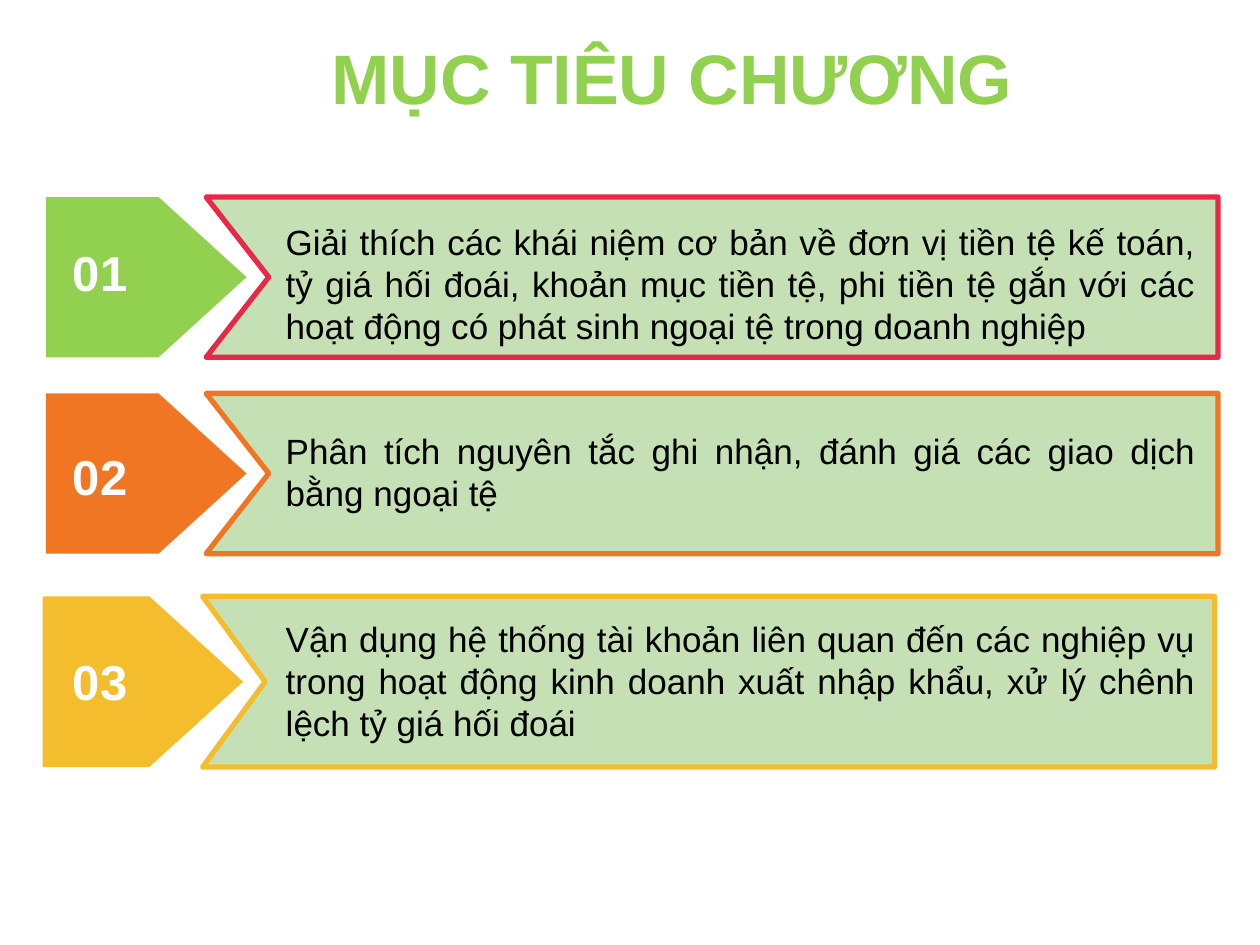
from dataclasses import dataclass

from pptx import Presentation
from pptx.dml.color import RGBColor
from pptx.enum.shapes import MSO_SHAPE
from pptx.enum.text import MSO_ANCHOR, PP_ALIGN
from pptx.util import Pt

FONT = "Arial"
GREEN, PANEL = "92D050", "C5E0B4"
ARROW_W, PANEL_DX, PANEL_W, NOTCH = 114.5, 91.4, 578.2, 35.8


@dataclass
class Goal:
    number: str
    text: str
    fill: str
    line: str
    left: float
    top: float
    height: float
    number_top: float
    number_height: float
    text_top: float
    text_height: float


GOALS = [
    Goal("01", "Giải thích các khái niệm cơ bản về đơn vị tiền tệ kế toán, tỷ giá hối đoái, "
         "khoản mục tiền tệ, phi tiền tệ gắn với các hoạt động có phát sinh ngoại tệ "
         "trong doanh nghiệp",
         GREEN, "E62949", 26.4, 112.6, 91.6, 135.4, 40, 122.4, 80),
    Goal("02", "Phân tích nguyên tắc ghi nhận, đánh giá các giao dịch bằng ngoại tệ",
         "F07624", "F07624", 26.4, 224.8, 91.6, 254.9, 34, 241.9, 55.5),
    Goal("03", "Vận dụng hệ thống tài khoản liên quan đến các nghiệp vụ trong hoạt động "
         "kinh doanh xuất nhập khẩu, xử lý chênh lệch tỷ giá hối đoái",
         "F4BD2D", "F4BD2D", 24.4, 340.8, 97.5, 372.2, 34, 349.2, 80),
]


def rgb(value: str) -> RGBColor:
    return RGBColor.from_string(value)


def paint(sp, fill: str, line: str | None = None) -> None:
    sp.shadow.inherit = False
    sp.fill.solid()
    sp.fill.fore_color.rgb = rgb(fill)
    if line:
        sp.line.color.rgb = rgb(line)
        sp.line.width = Pt(3)
    else:
        sp.line.fill.background()


def add_text(s, text: str, box: tuple, color: str, font: dict, align=PP_ALIGN.LEFT,
             frame: dict | None = None) -> None:
    tf = s.shapes.add_textbox(*map(Pt, box)).text_frame
    for name, value in {"word_wrap": True, **(frame or {})}.items():
        setattr(tf, name, value)
    p = tf.paragraphs[0]
    p.alignment = align
    r = p.add_run()
    r.text = text
    for name, value in {"name": FONT, **font}.items():
        setattr(r.font, name, value)
    r.font.color.rgb = rgb(color)


def add_panel(s, goal: Goal) -> None:
    """Draw the box whose left edge is notched to echo the arrow."""
    left, right = goal.left + PANEL_DX, goal.left + PANEL_DX + PANEL_W
    bottom = goal.top + goal.height
    points = [(right, goal.top), (right, bottom), (left, bottom),
              (left + NOTCH, goal.top + goal.height / 2)]
    builder = s.shapes.build_freeform(Pt(left), Pt(goal.top))
    builder.add_line_segments([(Pt(x), Pt(y)) for x, y in points], close=True)
    paint(builder.convert_to_shape(), PANEL, goal.line)


def add_goal(s, goal: Goal) -> None:
    sp = s.shapes.add_shape(MSO_SHAPE.PENTAGON, Pt(goal.left), Pt(goal.top),
                            Pt(ARROW_W), Pt(goal.height))
    sp.adjustments[0] = 0.549
    paint(sp, goal.fill)
    add_panel(s, goal)
    add_text(s, goal.number, (34.6, goal.number_top, 62, goal.number_height), "FFFFFF",
             {"size": Pt(28), "bold": True},
             frame={"vertical_anchor": MSO_ANCHOR.MIDDLE, "margin_top": 0, "margin_bottom": 0})
    add_text(s, goal.text, (156.2, goal.text_top, 534.2, goal.text_height), "000000",
             {"size": Pt(20)}, PP_ALIGN.JUSTIFY)


def main() -> None:
    prs = Presentation()
    prs.slide_width, prs.slide_height = Pt(720), Pt(540)
    s = prs.slides.add_slide(prs.slide_layouts[6])
    add_text(s, "MỤC TIÊU CHƯƠNG", (87.8, 20.2, 592.6, 47.5), GREEN,
             {"size": Pt(40), "bold": True}, PP_ALIGN.CENTER,
             {"vertical_anchor": MSO_ANCHOR.MIDDLE})
    for goal in GOALS:
        add_goal(s, goal)
    prs.save("out.pptx")


if __name__ == "__main__":
    main()
